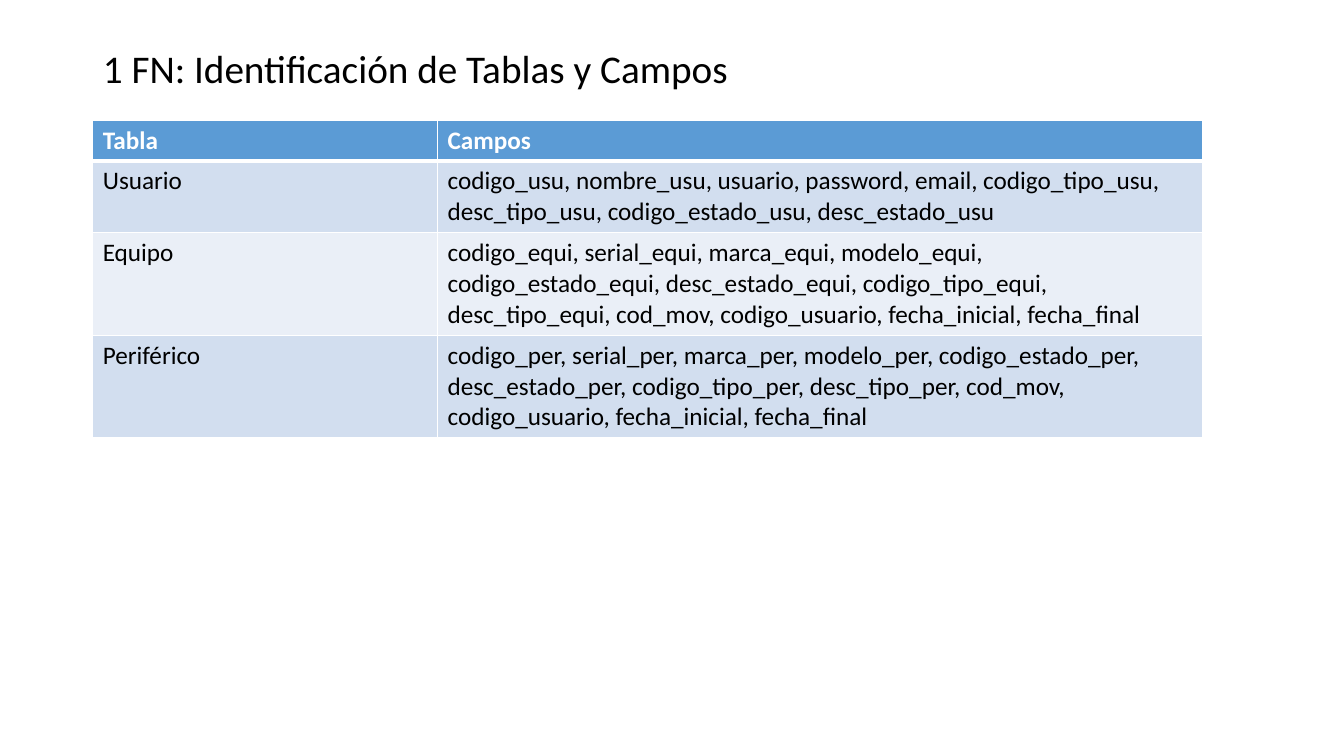
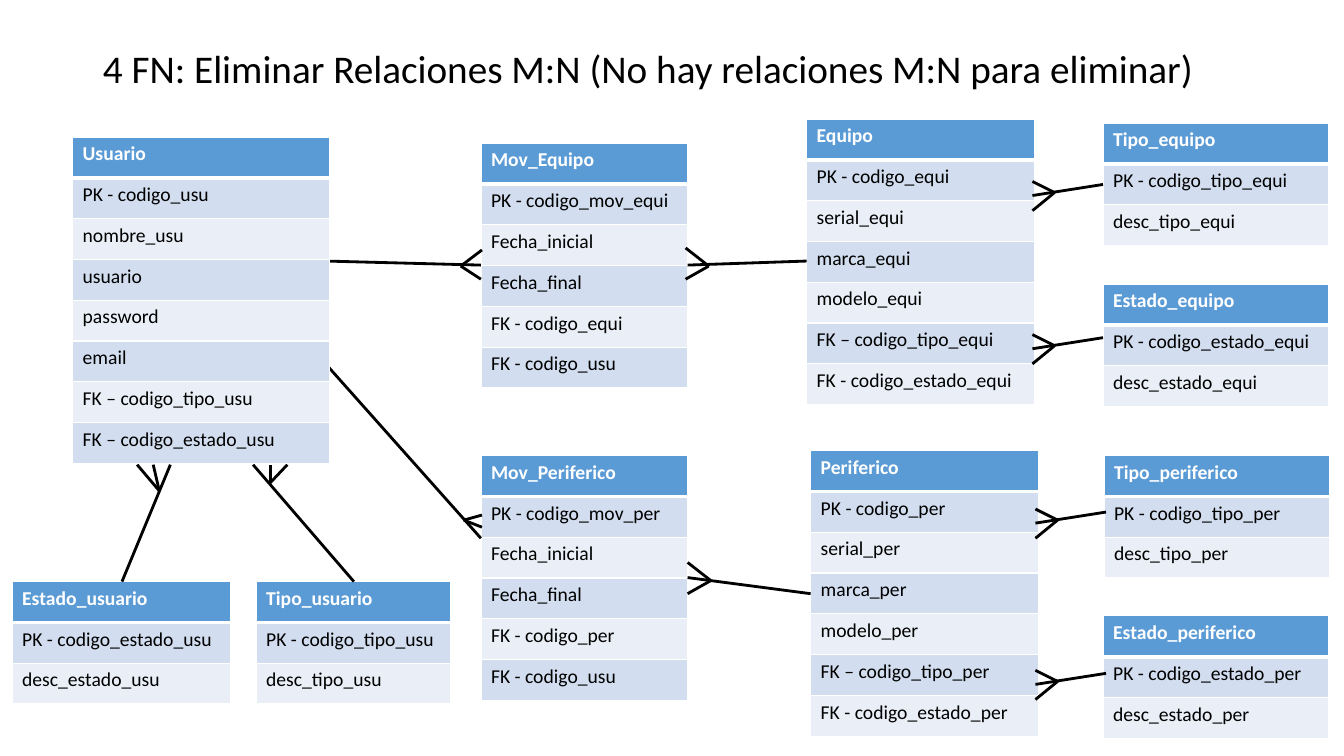
import pptx
import pptx.util
import pptx.dml.color
import pptx.enum.shapes
import pptx.enum.text
import pptx.oxml
import pptx.oxml.ns

# Shared look
FONT = "Calibri"
BLACK, WHITE = "000000", "FFFFFF"
HEAD, BANDS = "5B9BD5", ("D2DEEF", "EAEFF7")
ROW = 81  # height of two rows in a diagram table


def px(n):
    """One px is a hundredth of an inch."""
    return pptx.util.Emu(n * 9144)


def paint(code):
    return pptx.dml.color.RGBColor.from_string(code)


def write(frame, text, size=14, color=BLACK, bold=False, space=1.0):
    para = frame.paragraphs[0]
    para.alignment = pptx.enum.text.PP_ALIGN.LEFT
    para.line_spacing = space
    run = para.add_run()
    run.text = text
    font = run.font
    font.name, font.size, font.bold = FONT, pptx.util.Pt(size), bold
    font.color.rgb = paint(color)


def page(deck, text):
    """Add a slide with the shared title style."""
    slide = deck.slides.add_slide(deck.slide_layouts[5])
    title = slide.shapes.title
    title.left, title.top, title.width, title.height = map(px, (92, 33, 1150, 74))
    frame = title.text_frame
    frame.auto_size = pptx.enum.text.MSO_AUTO_SIZE.NONE
    frame.vertical_anchor = pptx.enum.text.MSO_ANCHOR.MIDDLE
    write(frame, text, size=28, space=0.9)
    return slide


def edge(cell, side, width):
    props = cell._tc.get_or_add_tcPr()
    props.append(pptx.oxml.parse_xml(
        f'<a:ln{side} {pptx.oxml.ns.nsdecls("a")} w="{pptx.util.Pt(width)}">'
        f'<a:solidFill><a:srgbClr val="{WHITE}"/></a:solidFill></a:ln{side}>'))


def grid(slide, left, top, cols, highs, rows, size=14):
    """Add a table with a header row and banded rows below."""
    shape = slide.shapes.add_table(len(rows), len(cols), px(left), px(top),
                                   px(sum(cols)), sum(highs))
    table = shape.table
    table.horz_banding = False
    for col, width in zip(table.columns, cols):
        col.width = px(width)
    for i, (row, high, texts) in enumerate(zip(table.rows, highs, rows)):
        row.height = high
        for cell, text in zip(row.cells, texts):
            # Borders come before the fill; a thick rule ends the header
            for side in "LRTB":
                thick = (i, side) in ((0, "B"), (1, "T"))
                edge(cell, side, 3 if thick else 1)
            cell.fill.solid()
            cell.fill.fore_color.rgb = paint(BANDS[(i - 1) % 2] if i else HEAD)
            write(cell.text_frame, text, size=size, bold=i == 0,
                  color=BLACK if i else WHITE)


def box(slide, left, top, width, names):
    """Add one entity: its name, then its fields."""
    grid(slide, left, top, [width], [px(ROW) // 2] * len(names),
         [[name] for name in names])


def line(slide, start, end):
    kind = pptx.enum.shapes.MSO_CONNECTOR.STRAIGHT
    link = slide.shapes.add_connector(kind, *map(px, start + end))
    link.line.color.rgb = paint(BLACK)
    link.line.width = pptx.util.Pt(2)
    link._element.spPr.append(pptx.oxml.parse_xml(
        f'<a:effectLst {pptx.oxml.ns.nsdecls("a")}/>'))


def join(slide, start, end, tip, toes):
    """Add a relation line and the crow's foot at its end."""
    line(slide, start, end)
    for toe in toes:
        line(slide, tip, toe)


# Field lists
def kind(name, owner, tag):
    low = name.lower()
    return [f"{name}_{owner}", f"PK - codigo_{low}_{tag}", f"desc_{low}_{tag}"]


def move(owner, tag):
    return [f"Mov_{owner}", f"PK - codigo_mov_{tag}", "Fecha_inicial",
            "Fecha_final", f"FK - codigo_{tag}", "FK - codigo_usu"]


def item(owner, tag):
    return [owner, f"PK - codigo_{tag}", f"serial_{tag}", f"marca_{tag}",
            f"modelo_{tag}", f"FK – codigo_tipo_{tag}",
            f"FK - codigo_estado_{tag}"]


USER = ["Usuario", "PK - codigo_usu", "nombre_usu", "usuario", "password",
        "email", "FK – codigo_tipo_usu", "FK – codigo_estado_usu"]

FIELDS = [
    ("Tabla", "Campos"),
    ("Usuario", "codigo_usu, nombre_usu, usuario, password, email, "
     "codigo_tipo_usu, desc_tipo_usu, codigo_estado_usu, desc_estado_usu"),
    ("Equipo", "codigo_equi, serial_equi, marca_equi, modelo_equi, "
     "codigo_estado_equi, desc_estado_equi, codigo_tipo_equi, desc_tipo_equi, "
     "cod_mov, codigo_usuario, fecha_inicial, fecha_final"),
    ("Periférico", "codigo_per, serial_per, marca_per, modelo_per, "
     "codigo_estado_per, desc_estado_per, codigo_tipo_per, desc_tipo_per, "
     "cod_mov, codigo_usuario, fecha_inicial, fecha_final"),
]

# Entities: left, top, width, names
BOXES = [
    (1094, 122, 224, kind("Tipo", "equipo", "equi")),
    (1094, 282, 224, kind("Estado", "equipo", "equi")),
    (1095, 452, 224, kind("Tipo", "periferico", "per")),
    (1094, 611, 224, kind("Estado", "periferico", "per")),
    (12, 577, 217, kind("Estado", "usuario", "usu")),
    (254, 577, 193, kind("Tipo", "usuario", "usu")),
    (477, 142, 205, move("Equipo", "equi")),
    (477, 452, 205, move("Periferico", "per")),
    (800, 118, 226, item("Equipo", "equi")),
    (804, 447, 226, item("Periferico", "per")),
]

# Relations: start, end, tip of the foot, toes
JOINS = [
    ((121, 577), (169, 461), (158, 487), [(136, 461), (152, 461)]),
    ((351, 577), (251, 461), (268, 479), [(268, 461), (285, 461)]),
    ((323, 259), (477, 263), (457, 264), [(477, 277), (478, 248)]),
    ((323, 361), (477, 534), (460, 516), [(478, 511), (478, 523)]),
    ((800, 259), (682, 263), (703, 264), [(680, 246), (680, 277)]),
    ((804, 589), (682, 573), (705, 576), [(682, 558), (682, 589)]),
]

# Where the lookup tables on the right meet their item
ENDS = [(1024, 194), (1024, 346), (1027, 519), (1027, 679)]


def main():
    deck = pptx.Presentation()
    deck.slide_width, deck.slide_height = px(1333), px(750)

    # Tables and fields
    slide = page(deck, "1 FN: Identificación de Tablas y Campos")
    grid(slide, 92, 119, [342, 759], [px(n) for n in (40, 71, 102, 102)],
         FIELDS, size=18)

    # Entity diagram
    slide = page(deck, "4 FN: Eliminar Relaciones M:N "
                       "(No hay relaciones M:N para eliminar)")
    for spot in BOXES:
        box(slide, *spot)
    for spot in JOINS:
        join(slide, *spot)
    for x, y in ENDS:
        join(slide, (x + 70, y - 11), (x, y), (x + 22, y - 3),
             [(x, y - 14), (x, y + 15)])
    box(slide, 72, 136, 255, USER)

    deck.save("out.pptx")


if __name__ == "__main__":
    main()
